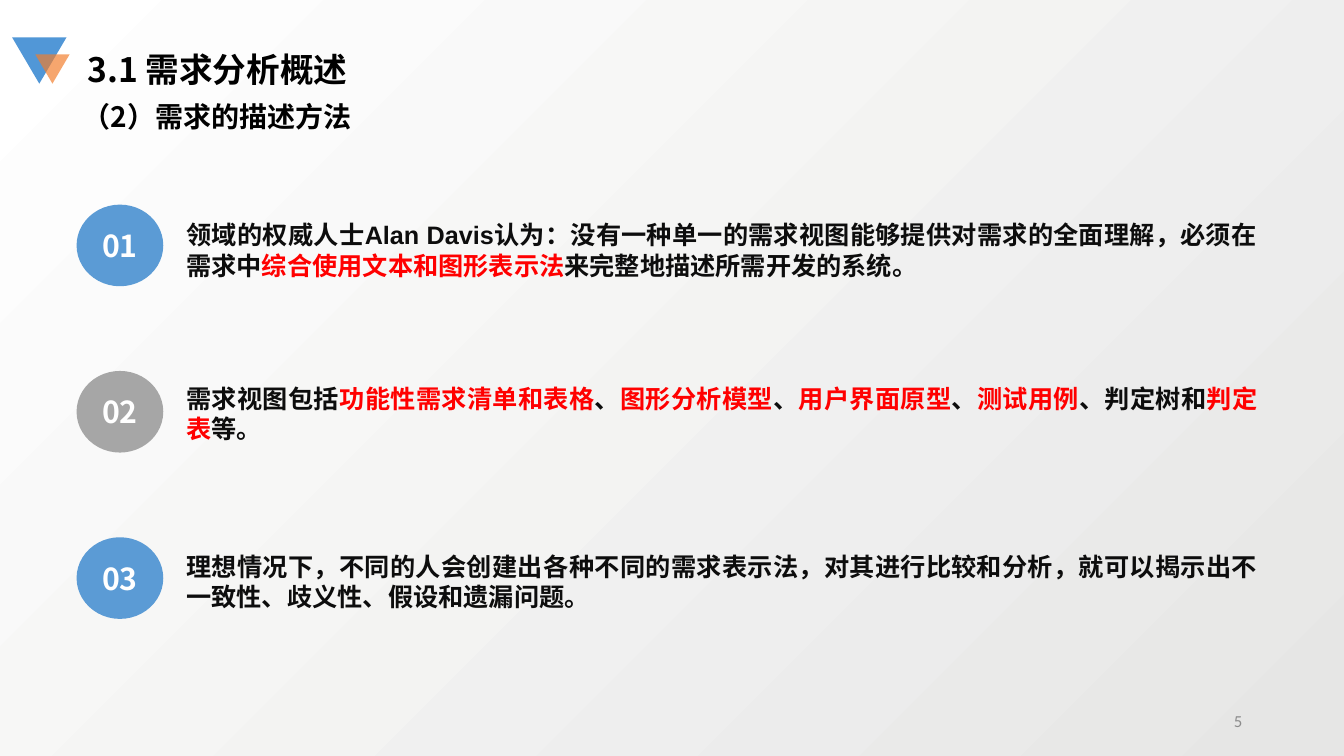
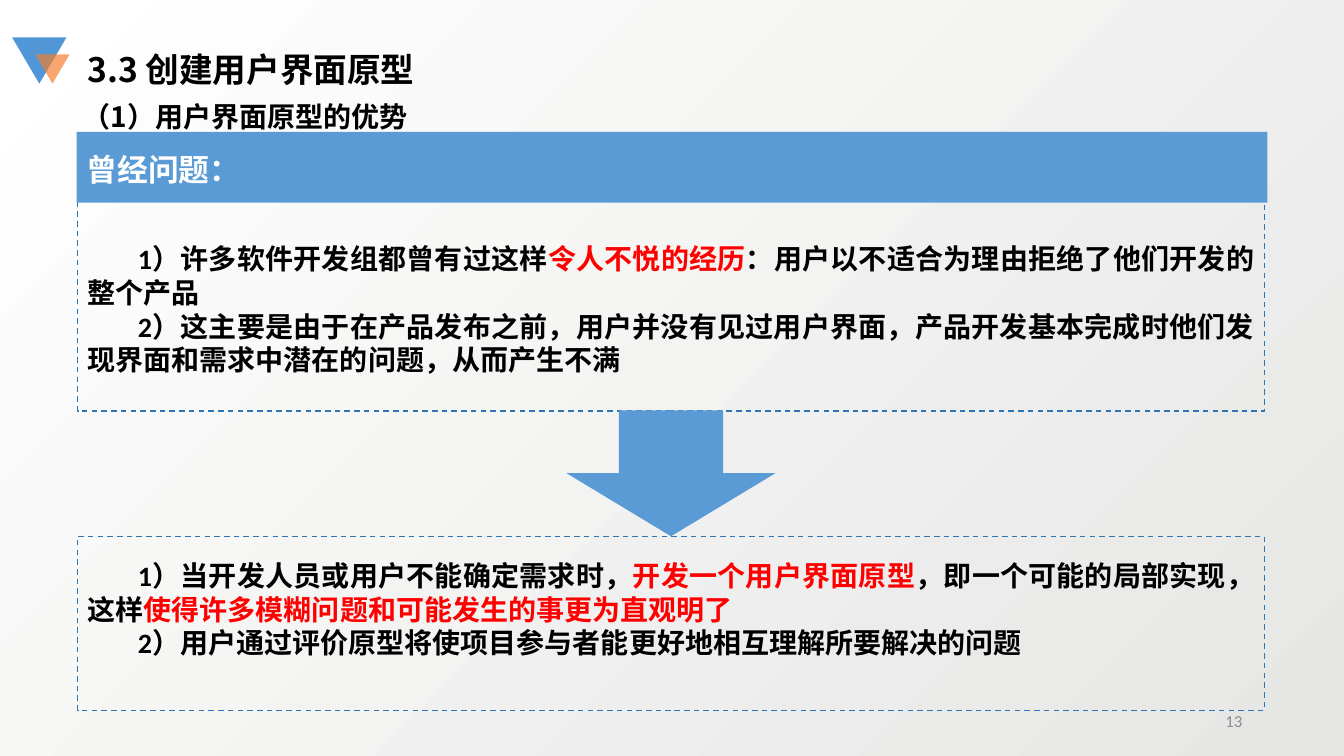
import pptx
import pptx.util
import pptx.dml.color
import pptx.enum.dml
import pptx.enum.shapes
import pptx.enum.text
import pptx.oxml.ns
import lxml.etree

Inches = pptx.util.Inches
Shape = pptx.enum.shapes.MSO_SHAPE
Align = pptx.enum.text.PP_ALIGN
Anchor = pptx.enum.text.MSO_ANCHOR
qn = pptx.oxml.ns.qn
rgb = pptx.dml.color.RGBColor.from_string

# Theme: colours, fonts and text styles
CJK = "Noto Sans CJK SC"
theme = {
    "blue": "5B9BD5", "grey": "A6A6A6", "outline": "2E75B6", "accent": "FF0000",
    "logo_blue": "5197D7", "logo_orange": "F37D2A",
    "background": ("E6E6E5", "FFFFFF"),
    "title": {"font": {"name": CJK, "size": 24, "bold": True}, "color": "000000", "spacing": 1.3},
    "subtitle": {"font": {"name": CJK, "size": 20, "bold": True}, "color": "000000", "spacing": 1.3},
    "band": {"font": {"name": CJK, "size": 22, "bold": True}, "color": "FFFFFF", "spacing": 1.3},
    "number": {"font": {"name": CJK, "size": 21.6, "bold": True}, "color": "FFFFFF",
               "spacing": 1.2, "align": Align.CENTER},
    "point": {"font": {"name": "Arial", "size": 18, "bold": True}, "color": "0D0D0D",
              "spacing": 1.2, "align": Align.JUSTIFY},
    "passage": {"font": {"name": "Calibri", "size": 20, "bold": True}, "color": "000000",
                "spacing": 1.2, "align": Align.JUSTIFY, "indent": 0.5},
    "page_number": {"font": {"name": "Calibri", "size": 12, "bold": False}, "color": "8C8C8C",
                    "spacing": 1.2, "align": Align.RIGHT},
}


def add_box(page, area, kind=None, fill=None):
    """Add a preset shape, or a text box when no kind is given."""
    lengths = [Inches(value) for value in area]
    if kind is None:
        box = page.shapes.add_textbox(*lengths)
    else:
        box = page.shapes.add_shape(kind, *lengths)
        box.shadow.inherit = False
        box.line.fill.background()
        box.fill.background()
    if fill:
        box.fill.solid()
        box.fill.fore_color.rgb = rgb(fill)
    return box


def write(box, paragraphs, style, **frame_format):
    """Write paragraphs, each a list of pieces that alternate plain and accent."""
    look = theme[style]
    frame = box.text_frame
    for key, value in {"word_wrap": True, "vertical_anchor": Anchor.TOP, **frame_format}.items():
        setattr(frame, key, value)
    for index, pieces in enumerate(paragraphs):
        para = frame.paragraphs[0] if index == 0 else frame.add_paragraph()
        para.alignment = look.get("align", Align.LEFT)
        para.line_spacing = pptx.util.Pt(look["font"]["size"] * look["spacing"])
        if "indent" in look:
            para._p.get_or_add_pPr().set("indent", str(Inches(look["indent"])))
        for order, piece in enumerate(pieces):
            span = para.add_run()
            span.text = piece
            for key, value in look["font"].items():
                setattr(span.font, key, pptx.util.Pt(value) if key == "size" else value)
            span.font.color.rgb = rgb(theme["accent"] if order % 2 else look["color"])
            east_asian = lxml.etree.SubElement(span._r.get_or_add_rPr(), qn("a:ea"))
            east_asian.set("typeface", CJK)


deck = pptx.Presentation()
deck.slide_width, deck.slide_height = Inches(13.33), Inches(7.5)

# Shared parts: background, corner mark, headings, page number
headings = [
    ("3.1 需求分析概述", "（2）需求的描述方法", "5"),
    ("3.3 创建用户界面原型", "（1）用户界面原型的优势", "13"),
]
pages = []
for title, subtitle, number in headings:
    page = deck.slides.add_slide(deck.slide_layouts[6])
    pages.append(page)
    backdrop = page.background.fill
    backdrop.gradient()
    backdrop.gradient_angle = 135
    for stop, color, position in zip(backdrop.gradient_stops, theme["background"], (0, 1)):
        stop.color.rgb = rgb(color)
        stop.position = position

    for area, color in (((0.12, 0.37, 0.54, 0.46), "logo_blue"),
                        ((0.35, 0.54, 0.34, 0.29), "logo_orange")):
        triangle = add_box(page, area, Shape.ISOSCELES_TRIANGLE, theme[color])
        triangle.rotation = 180
    tint = triangle._element.spPr.find(qn("a:solidFill"))[0]
    lxml.etree.SubElement(tint, qn("a:alpha")).set("val", "68000")

    write(add_box(page, (0.77, 0.4, 3.53, 0.5)), [[title]], "title")
    write(add_box(page, (0.72, 0.91, 8.49, 0.44)), [[subtitle]], "subtitle")
    write(add_box(page, (9.42, 6.95, 3, 0.4)), [[number]], "page_number",
          vertical_anchor=Anchor.MIDDLE)

methods_page, prototype_page = pages
text_top = Inches(0.07)

# Slide 1: three numbered points
points = [
    ("blue", 2.11, ["领域的权威人士Alan Davis认为：没有一种单一的需求视图能够提供对需求的全面理解，必须在需求中",
                    "综合使用文本和图形表示法", "来完整地描述所需开发的系统。"]),
    ("grey", 3.73, ["需求视图包括", "功能性需求清单和表格", "、", "图形分析模型", "、", "用户界面原型",
                    "、", "测试用例", "、判定树和", "判定表", "等。"]),
    ("blue", 5.4, ["理想情况下，不同的人会创建出各种不同的需求表示法，对其进行比较和分析，"
                   "就可以揭示出不一致性、歧义性、假设和遗漏问题。"]),
]
for index, (color, top, pieces) in enumerate(points):
    circle = add_box(methods_page, (0.76, 2.03 + 1.65 * index, 0.86, 0.81), Shape.OVAL, theme[color])
    write(circle, [[f"{index + 1:02}"]], "number", word_wrap=False, vertical_anchor=Anchor.MIDDLE,
          margin_left=0, margin_right=0)
    write(add_box(methods_page, (1.75, top, 10.82, 0.71)), [pieces], "point", margin_top=text_top)

# Slide 2: dashed panels with their text
panels = [
    ((1.32, 2.76), (2.33, 1.45), [
        ["1）许多软件开发组都曾有过这样", "令人不悦的经历", "：用户以不适合为理由拒绝了他们开发的整个产品"],
        ["2）这主要是由于在产品发布之前，用户并没有见过用户界面，产品开发基本完成时他们发现界面和需求中潜在的问题，从而产生不满"],
    ]),
    ((5.32, 1.73), (5.47, 1.11), [
        ["1）当开发人员或用户不能确定需求时，", "开发一个用户界面原型", "，即一个可能的局部实现，这样",
         "使得许多模糊问题和可能发生的事更为直观明了"],
        ["2）用户通过评价原型将使项目参与者能更好地相互理解所要解决的问题"],
    ]),
]
for (panel_top, panel_height), (top, height), paragraphs in panels:
    panel = add_box(prototype_page, (0.77, panel_top, 11.77, panel_height), Shape.RECTANGLE)
    panel.line.color.rgb = rgb(theme["outline"])
    panel.line.width = pptx.util.Pt(1)
    panel.line.dash_style = pptx.enum.dml.MSO_LINE.DASH
    write(add_box(prototype_page, (0.77, top, 11.77, height)), paragraphs, "passage", margin_top=text_top)

# Slide 2: heading band and arrow
band = add_box(prototype_page, (0.76, 1.31, 11.81, 0.7), Shape.RECTANGLE, theme["blue"])
write(band, [["曾经问题："]], "band", vertical_anchor=Anchor.MIDDLE)
add_box(prototype_page, (5.62, 4.07, 2.07, 1.25), Shape.DOWN_ARROW, theme["blue"])

deck.save("out.pptx")
